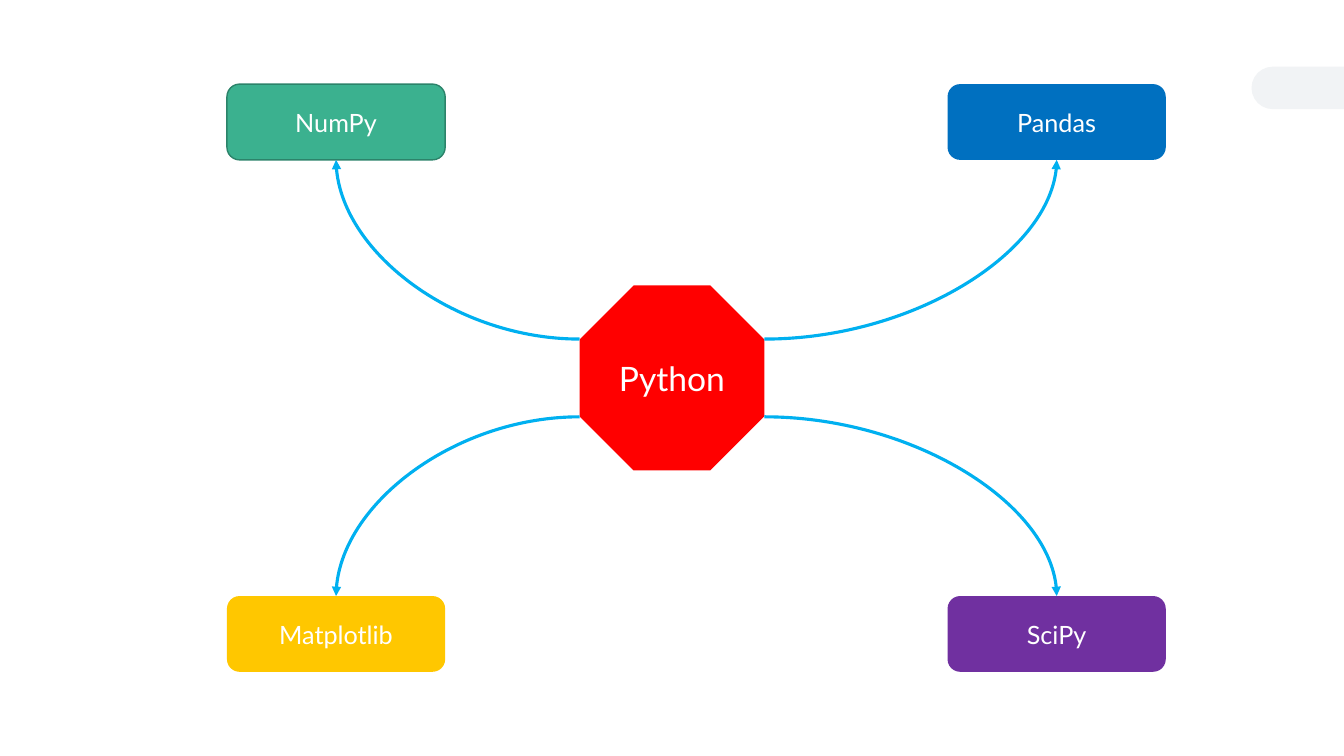
from lxml import etree
from pptx import Presentation
from pptx.dml.color import RGBColor
from pptx.enum.shapes import MSO_CONNECTOR, MSO_SHAPE
from pptx.enum.text import MSO_ANCHOR, PP_ALIGN
from pptx.oxml.ns import qn
from pptx.util import Cm, Pt

OCTAGON, BOX = MSO_SHAPE.OCTAGON, MSO_SHAPE.ROUNDED_RECTANGLE
TAB = MSO_SHAPE.ROUND_2_SAME_RECTANGLE
CURVE = MSO_CONNECTOR.CURVE
MIDDLE, CENTER = MSO_ANCHOR.MIDDLE, PP_ALIGN.CENTER

WHITE = RGBColor(0xFF, 0xFF, 0xFF)
GREY = RGBColor(0xF1, 0xF3, 0xF5)
RED = RGBColor(0xFF, 0x00, 0x00)
GREEN = RGBColor(0x3B, 0xB1, 0x8F)
DARK_GREEN = RGBColor(0x2C, 0x83, 0x6A)
BLUE = RGBColor(0x00, 0x70, 0xC0)
YELLOW = RGBColor(0xFF, 0xC7, 0x00)
PURPLE = RGBColor(0x70, 0x30, 0xA0)
SKY = RGBColor(0x00, 0xB0, 0xF0)

FONT = "Lato"
HUB = "Python"
LIBRARIES = [
    ("NumPy", "left", "top", GREEN, DARK_GREEN),
    ("Pandas", "right", "top", BLUE, None),
    ("Matplotlib", "left", "bottom", YELLOW, None),
    ("SciPy", "right", "bottom", PURPLE, None),
]

SLIDE_W, SLIDE_H = Cm(33.87), Cm(19.05)
BOX_W, BOX_H = Cm(5.5), Cm(1.91)
MARGIN_Y = Cm(2.12)
BOX_X = {"left": Cm(5.72), "right": Cm(23.88)}
BOX_Y = {"top": MARGIN_Y, "bottom": SLIDE_H - MARGIN_Y - BOX_H}
HUB_SIZE = Cm(4.66)
HUB_CUT = int(HUB_SIZE * 0.29)
HUB_X, HUB_Y = (SLIDE_W - HUB_SIZE) // 2, (SLIDE_H - HUB_SIZE) // 2
TAB_W, TAB_H, TAB_Y = Cm(2.33), Cm(1.07), Cm(1.68)


def add_node(kind, x, y, w, h, fill, line=None, text="", size=18):
    sp = s.shapes.add_shape(kind, x, y, w, h)
    sp.shadow.inherit = False
    sp.fill.solid()
    sp.fill.fore_color.rgb = fill
    if line is None:
        sp.line.fill.background()
    else:
        sp.line.color.rgb = line
        sp.line.width = Pt(1)
    if text:
        tf = sp.text_frame
        tf.vertical_anchor = MIDDLE
        p = tf.paragraphs[0]
        p.text = text
        p.alignment = CENTER
        font = p.runs[0].font
        font.name, font.size, font.color.rgb = FONT, Pt(size), WHITE
    return sp


def add_arrow(x1, y1, x2, y2):
    cx = s.shapes.add_connector(CURVE, x1, y1, x2, y2)
    cx.line.color.rgb = SKY
    cx.line.width = Pt(2.25)
    sp_pr = cx._element.spPr
    sp_pr.find(qn("a:prstGeom")).set("prst", "curvedConnector2")
    etree.SubElement(sp_pr.find(qn("a:ln")), qn("a:tailEnd"), type="triangle")
    etree.SubElement(sp_pr, qn("a:effectLst"))


prs = Presentation()
prs.slide_width, prs.slide_height = SLIDE_W, SLIDE_H
s = prs.slides.add_slide(prs.slide_layouts[6])

tab_x = SLIDE_W - (TAB_W + TAB_H) // 2
tab_y = TAB_Y - (TAB_W - TAB_H) // 2
tab = add_node(TAB, tab_x, tab_y, TAB_H, TAB_W, GREY)
tab.adjustments[0] = 0.5
tab.rotation = 270

add_node(OCTAGON, HUB_X, HUB_Y, HUB_SIZE, HUB_SIZE, RED, text=HUB, size=24)

for name, side, row, fill, line in LIBRARIES:
    x, y = BOX_X[side], BOX_Y[row]
    add_node(BOX, x, y, BOX_W, BOX_H, fill, line, name)
    start_x = HUB_X if side == "left" else HUB_X + HUB_SIZE
    if row == "top":
        start_y, end_y = HUB_Y + HUB_CUT, y + BOX_H
    else:
        start_y, end_y = HUB_Y + HUB_SIZE - HUB_CUT, y
    add_arrow(start_x, start_y, x + BOX_W // 2, end_y)

prs.save("out.pptx")
